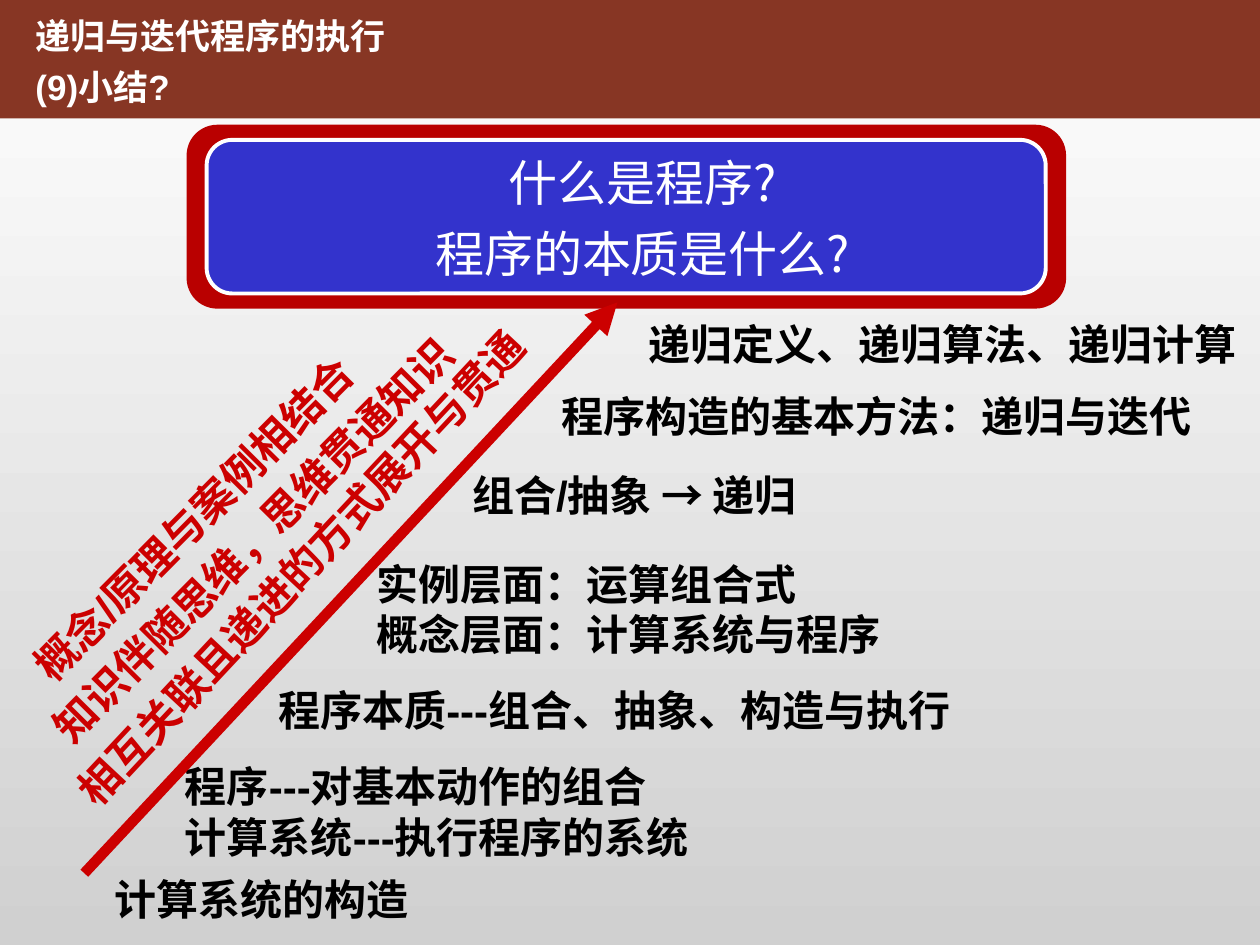
from typing import NamedTuple
from lxml.etree import SubElement
from pptx import Presentation
from pptx.dml.color import RGBColor as RGB
from pptx.enum.shapes import MSO_CONNECTOR as CONN, MSO_SHAPE as SHAPE
from pptx.enum.text import MSO_ANCHOR as ANCHOR, MSO_AUTO_SIZE as FIT, PP_ALIGN as ALIGN
from pptx.oxml.ns import qn
from pptx.util import Pt


class Theme(NamedTuple):
    latin: str = "Arial"
    cjk: str = "Noto Sans CJK SC"
    title_size: int = 20
    body_size: int = 24
    callout_size: int = 28
    white: RGB = RGB.from_string("FFFFFF")
    black: RGB = RGB.from_string("000000")
    backdrop_end: RGB = RGB.from_string("D0D0D0")
    banner: RGB = RGB.from_string("873624")
    frame: RGB = RGB.from_string("B90000")
    panel: RGB = RGB.from_string("3333CC")
    accent: RGB = RGB.from_string("CC0000")


class Box(NamedTuple):
    left: float
    top: float
    width: float
    height: float


class Label(NamedTuple):
    box: Box
    lines: list[str]
    rotation: float = 0


THEME = Theme()
LINE_H, PAIR_H = 36, 64.8
# No right inset: the spare width keeps every line unbroken.
LABEL_FRAME = dict(word_wrap=True, auto_size=FIT.NONE, margin_right=0, vertical_anchor=ANCHOR.TOP)

STEPS = [
    Label(Box(58.3, 495.4, 182.2, LINE_H), ["计算系统的构造"]),
    Label(Box(98.6, 431.3, 313.9, PAIR_H), ["程序---对基本动作的组合", "计算系统---执行程序的系统"]),
    Label(Box(151.9, 387.4, 409.7, LINE_H), ["程序本质---组合、抽象、构造与执行"]),
    Label(Box(208.1, 315.4, 302.4, PAIR_H), ["实例层面：运算组合式", "概念层面：计算系统与程序"]),
    Label(Box(262.8, 265, 213.1, LINE_H), ["组合/抽象 → 递归"]),
    Label(Box(313.9, 219.6, 377.3, LINE_H), ["程序构造的基本方法：递归与迭代"]),
    Label(Box(363.6, 178.6, 349.9, LINE_H), ["递归定义、递归算法、递归计算"]),
]
SLANTED = [
    Label(Box(-15.1, 306, 374.4, LINE_H), ["相互关联且递进的方式展开与贯通"], 313.1),
    Label(Box(-21.6, 274.3, 272.2, LINE_H), ["概念/原理与案例相结合"], 314.6),
    Label(Box(-18.7, 290.2, 326.2, LINE_H), ["知识伴随思维，思维贯通知识"], 314.6),
]


def points(box: Box) -> list[Pt]:
    return [Pt(v) for v in box]


def apply(target, values: dict) -> None:
    for name, value in values.items():
        setattr(target, name, value)


def write_lines(tf, lines: list[str], size: int, color: RGB, para: dict, gap: float = 0,
                latin: str = THEME.latin, bold: bool = True) -> None:
    for i, line in enumerate(lines):
        p = tf.paragraphs[0] if i == 0 else tf.add_paragraph()
        apply(p, para)
        p.space_before = Pt(gap if i else 0)
        r = p.add_run()
        r.text = line
        apply(r.font, dict(name=latin, size=Pt(size), bold=bold))
        r.font.color.rgb = color
        SubElement(r.font._element, qn("a:ea"), typeface=THEME.cjk)


def add_panel(shapes, kind: SHAPE, box: Box, fill: RGB | None):
    sp = shapes.add_shape(kind, *points(box))
    sp.shadow.inherit = False
    if fill is None:
        sp.fill.background()
    else:
        sp.fill.solid()
        sp.fill.fore_color.rgb = fill
    sp.line.fill.background()
    return sp


def add_label(s, label: Label, color: RGB) -> None:
    sp = s.shapes.add_textbox(*points(label.box))
    sp.rotation = label.rotation
    apply(sp.text_frame, LABEL_FRAME)
    write_lines(sp.text_frame, label.lines, THEME.body_size, color, {"alignment": ALIGN.LEFT})


def paint_background(s) -> None:
    fill = s.background.fill
    fill.gradient()
    fill.gradient_angle = 270
    stops = zip(fill.gradient_stops, (0, 1), (THEME.white, THEME.backdrop_end))
    for stop, position, color in stops:
        stop.position = position
        stop.color.rgb = color


def add_title(s) -> None:
    title = s.shapes.title
    apply(title, dict(zip(("left", "top", "width", "height"), points(Box(13, 0, 220, PAIR_H)))))
    apply(title.text_frame, LABEL_FRAME)
    write_lines(title.text_frame, ["递归与迭代程序的执行", "(9)小结?"], THEME.title_size,
                THEME.white, {"alignment": ALIGN.LEFT, "line_spacing": 1.2})
    banner = add_panel(s.shapes, SHAPE.RECTANGLE, Box(0, 0, 720, 67.7), THEME.banner)
    title._element.addprevious(banner._element)


def add_callout(s) -> None:
    shapes = s.shapes.add_group_shape().shapes
    add_panel(shapes, SHAPE.ROUNDED_RECTANGLE, Box(106.6, 71.3, 502.6, 105.1), THEME.frame)
    panel = add_panel(shapes, SHAPE.ROUNDED_RECTANGLE, Box(118.1, 79.9, 479.5, 87.8), THEME.panel)
    panel.line.color.rgb = THEME.white
    panel.line.width = Pt(2.25)
    caption = add_panel(shapes, SHAPE.ROUNDED_RECTANGLE, Box(162.7, 79.2, 409, 90.7), None)
    apply(caption.text_frame, dict(word_wrap=True, vertical_anchor=ANCHOR.TOP))
    write_lines(caption.text_frame, ["什么是程序?", "程序的本质是什么?"], THEME.callout_size,
                THEME.white, {"alignment": ALIGN.CENTER}, gap=7, latin=THEME.cjk, bold=False)


def add_arrow(s) -> None:
    ends = [Pt(v) for v in (48.2, 499, 352.8, 172.8)]
    arrow = s.shapes.add_connector(CONN.STRAIGHT, *ends)
    arrow.line.color.rgb = THEME.accent
    arrow.line.width = Pt(6)
    SubElement(arrow.line._get_or_add_ln(), qn("a:tailEnd"), type="triangle")
    SubElement(arrow._element.spPr, qn("a:effectLst"))


def main() -> None:
    prs = Presentation()
    prs.slide_width, prs.slide_height = Pt(720), Pt(540)
    s = prs.slides.add_slide(prs.slide_layouts[5])
    paint_background(s)
    add_title(s)
    add_callout(s)
    for label in STEPS:
        add_label(s, label, THEME.black)
    add_arrow(s)
    for label in SLANTED:
        add_label(s, label, THEME.accent)
    prs.save("out.pptx")


if __name__ == "__main__":
    main()
